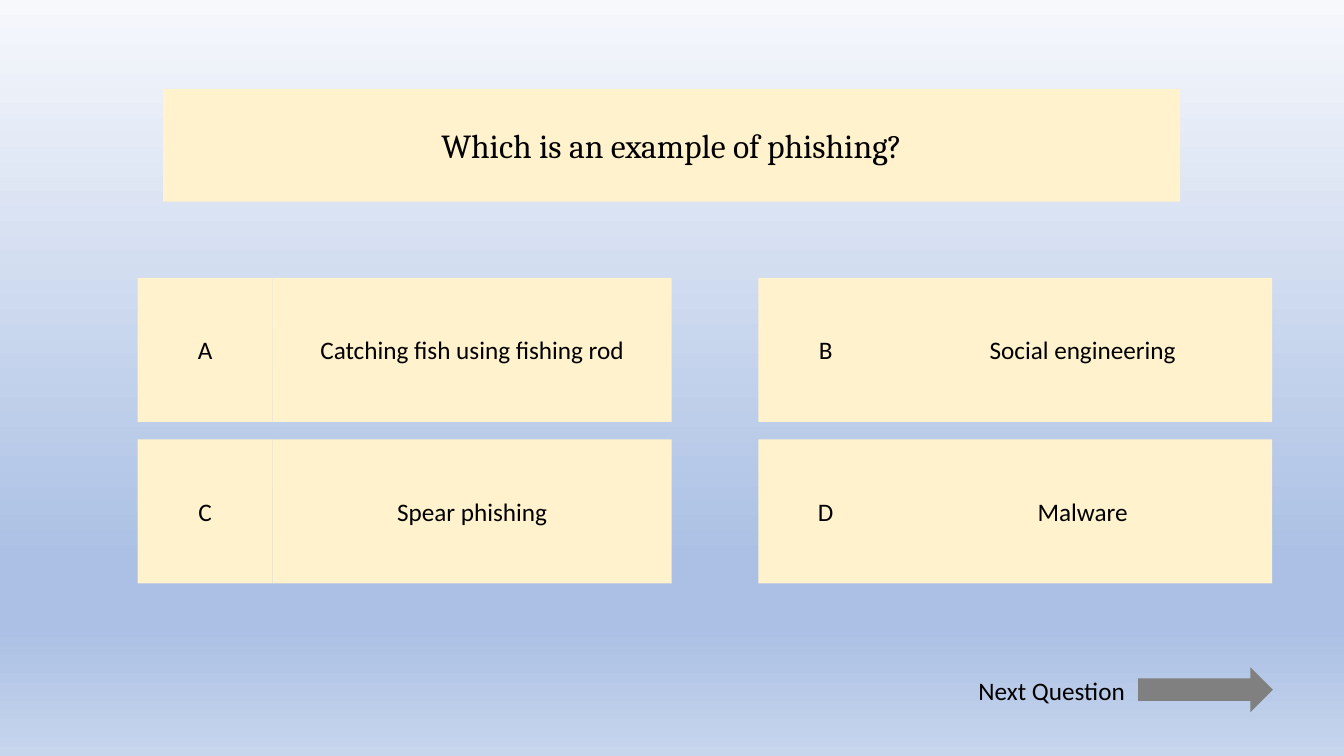
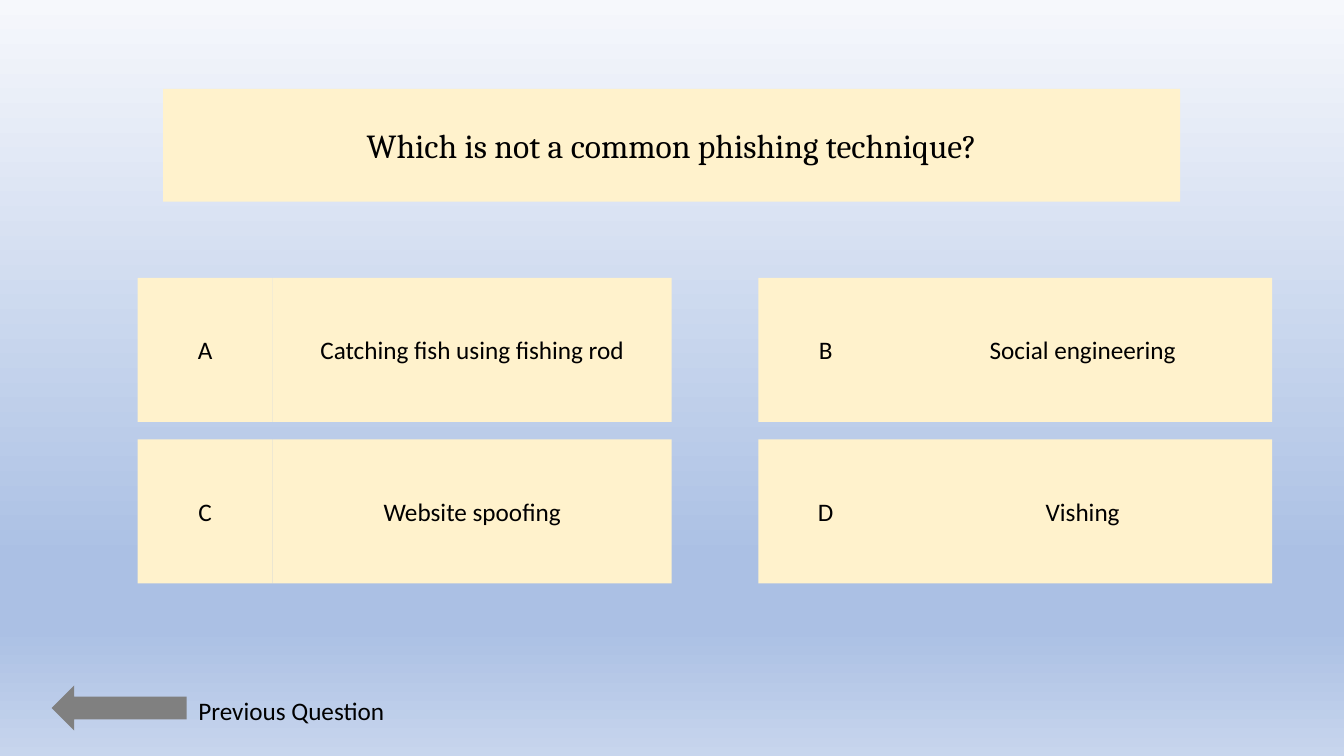
"""Build two quiz slides about phishing."""
from pptx import Presentation
from pptx.dml.color import RGBColor as Rgb
from pptx.enum.shapes import MSO_SHAPE as Kind
from pptx.enum.text import MSO_ANCHOR as Anchor, MSO_AUTO_SIZE as Fit, PP_ALIGN as Align
from pptx.oxml.ns import qn
from pptx.util import Cm, Pt
from lxml.etree import SubElement

QUIZ = [
    {
        "ask": "Which is an example of phishing?",
        "picks": ["Catching fish using fishing rod", "Social engineering",
                  "Spear phishing", "Malware"],
        "link": {"text": "Next Question", "label": (24.41, 16.89, 4.27, 1.02),
                 "arrow": (28.68, 16.81), "turn": 0},
    },
    {
        "ask": "Which is not a common phishing technique?",
        "picks": ["Catching fish using fishing rod", "Social engineering",
                  "Website spoofing", "Vishing"],
        "link": {"text": "Previous Question", "label": (4.75, 17.4, 5.77, 1.02),
                 "arrow": (1.3, 17.27), "turn": 180},
    },
]
COLORS = {"card": "FFF2CC", "arrow": "808080", "text": "000000"}
STOPS = [(0, "F6F8FC"), (74, "ABC0E4"), (83, "ABC0E4"), (100, "C7D5ED")]
BODY, HEAD = ("Calibri", 18), ("Cambria", 24)

TITLE = (4.11, 2.24, 25.63, 2.84)
COLS = [(3.47, 10.06), (19.11, 9.55)]
TOP, STEP = 7, 4.07
KEY, HIGH = 3.4, 3.63
ARROW = (3.4, 1.14)


def color(name):
    return Rgb.from_string(COLORS[name])


def paint(master):
    fill = master.background.fill
    fill.gradient()
    fill.gradient_angle = 270
    stops = next(master.element.iter(qn("a:gsLst")))
    for old in list(stops):
        stops.remove(old)
    for pos, tone in STOPS:
        stop = SubElement(stops, qn("a:gs"), pos=str(pos * 1000))
        SubElement(stop, qn("a:srgbClr"), val=tone)


def write(shape, text, style, align):
    para = shape.text_frame.paragraphs[0]
    para.text = text
    para.alignment = align
    font = para.runs[0].font
    font.name, font.size = style[0], Pt(style[1])
    font.color.rgb = color("text")


def block(slide, kind, box, tone):
    shape = slide.shapes.add_shape(kind, *map(Cm, box))
    shape.shadow.inherit = False
    shape.fill.solid()
    shape.fill.fore_color.rgb = color(tone)
    shape.line.fill.background()
    return shape


def card(slide, box, text, style=BODY):
    shape = block(slide, Kind.RECTANGLE, box, "card")
    shape.text_frame.word_wrap = True
    shape.text_frame.vertical_anchor = Anchor.MIDDLE
    write(shape, text, style, Align.CENTER)


def link(slide, text, label, arrow, turn):
    block(slide, Kind.RIGHT_ARROW, arrow + ARROW, "arrow").rotation = turn
    note = slide.shapes.add_textbox(*map(Cm, label))
    note.text_frame.word_wrap = True
    note.text_frame.auto_size = Fit.SHAPE_TO_FIT_TEXT
    write(note, text, BODY, Align.LEFT)


def build(deck, item):
    slide = deck.slides.add_slide(deck.slide_layouts[6])
    card(slide, TITLE, item["ask"], HEAD)
    for i, (key, pick) in enumerate(zip("ABCD", item["picks"])):
        row, col = divmod(i, len(COLS))
        left, wide = COLS[col]
        top = TOP + row * STEP
        card(slide, (left + KEY, top, wide, HIGH), pick)
        card(slide, (left, top, KEY, HIGH), key)
    link(slide, **item["link"])


def main():
    deck = Presentation()
    deck.slide_width, deck.slide_height = Cm(33.87), Cm(19.05)
    paint(deck.slide_master)
    for item in QUIZ:
        build(deck, item)
    deck.save("out.pptx")


if __name__ == "__main__":
    main()
